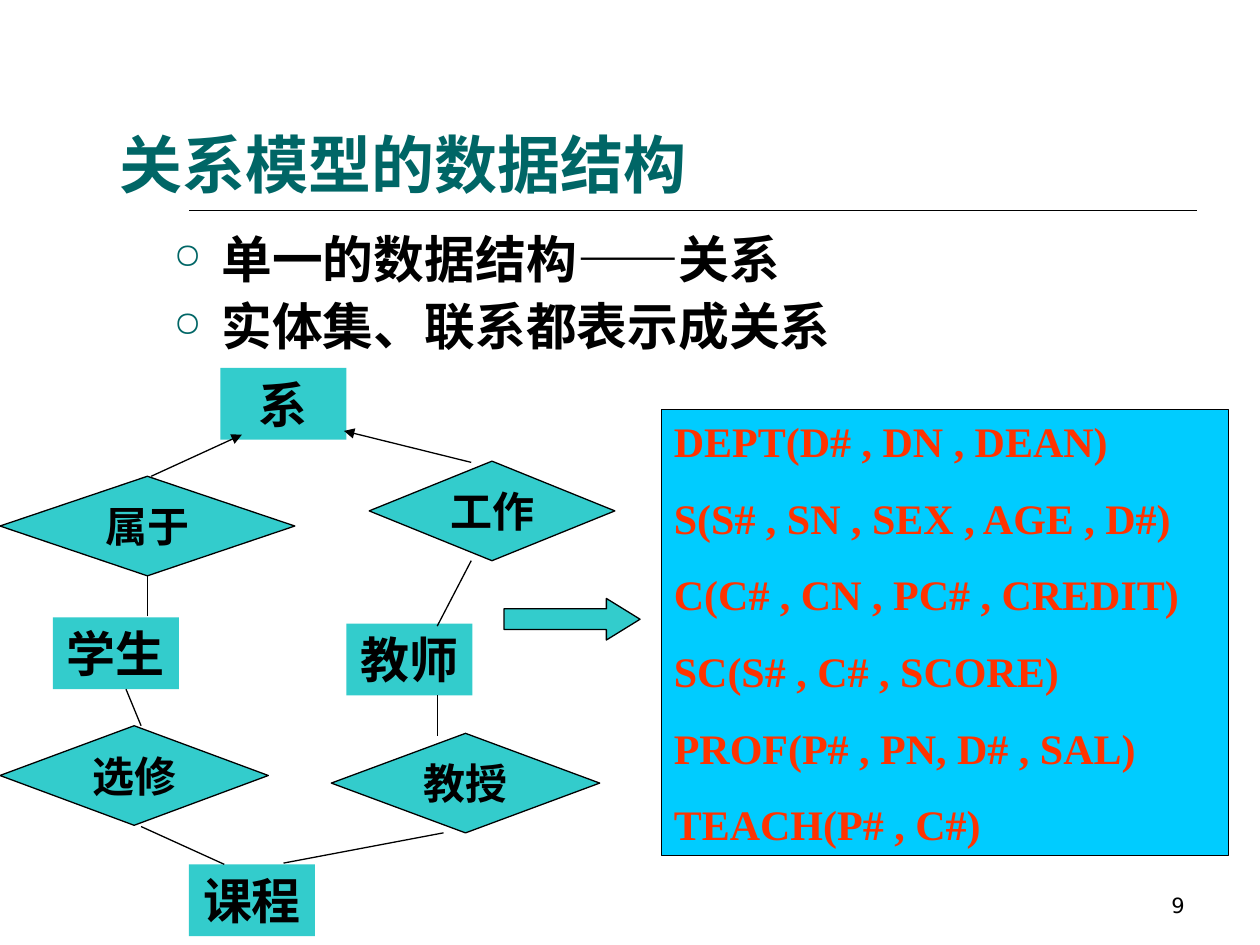
from dataclasses import dataclass

from lxml import etree
from pptx import Presentation
from pptx import util as u
from pptx.dml.color import RGBColor
from pptx.enum import shapes, text
from pptx.oxml import ns


@dataclass(frozen=True)
class Theme:
    """Colours, fonts and type sizes."""
    ink: str = "000000"
    accent: str = "006666"
    node: str = "33CCCC"
    panel: str = "00CCFF"
    schema: str = "FF3300"
    heading_font: str = "Arial"
    body_font: str = "DejaVu Sans"
    diagram_font: str = "Times New Roman"
    title_size: float = 36
    body_size: float = 29
    entity_size: float = 28
    label_size: float = 24
    number_size: float = 12
    outline: float = 0.75


def add_element(parent, tag, **attributes):
    """Append a DrawingML element to a parent."""
    return etree.SubElement(parent, ns.qn(tag), attributes)


def write(paragraph, content, font, size, color, bold=True, align=None):
    """Add a formatted run to a paragraph."""
    run = paragraph.add_run()
    run.text = content
    run.font.name = font
    run.font.size = u.Pt(size)
    run.font.bold = bold
    run.font.color.rgb = RGBColor.from_string(color)
    if align is not None:
        paragraph.alignment = align


class SlideBuilder:
    """Draws styled elements on one slide."""

    def __init__(self, slide, theme):
        self.slide = slide
        self.theme = theme

    def title(self, content, box):
        """Place and format the title placeholder."""
        shape = self.slide.shapes.title
        shape.left, shape.top, shape.width, shape.height = map(u.Inches, box)
        frame = shape.text_frame
        frame.vertical_anchor = text.MSO_ANCHOR.BOTTOM
        frame.auto_size = text.MSO_AUTO_SIZE.NONE
        write(frame.paragraphs[0], content, self.theme.heading_font,
              self.theme.title_size, self.theme.accent, align=text.PP_ALIGN.LEFT)

    def text_frame(self, box):
        """Add a wrapping text box and return its frame."""
        frame = self.slide.shapes.add_textbox(*map(u.Inches, box)).text_frame
        frame.word_wrap = True
        return frame

    def bullets(self, items, box):
        """Add a bulleted list whose items are lists of text and font."""
        frame = self.text_frame(box)
        for index, runs in enumerate(items):
            paragraph = frame.add_paragraph() if index else frame.paragraphs[0]
            paragraph.line_spacing = 0.9
            paragraph.space_before = u.Pt(7.3 if index else 0)
            properties = paragraph._p.get_or_add_pPr()
            properties.set("marL", str(u.Inches(0.38)))
            properties.set("indent", str(-u.Inches(0.38)))
            color = add_element(properties, "a:buClr")
            add_element(color, "a:srgbClr", val=self.theme.accent)
            add_element(properties, "a:buSzPct", val="70000")
            add_element(properties, "a:buChar", char="○")
            for content, font in runs:
                write(paragraph, content, font, self.theme.body_size, self.theme.ink)

    def shape(self, kind, box, fill, outlined=True):
        """Add a flat preset shape."""
        shape = self.slide.shapes.add_shape(kind, *map(u.Inches, box))
        shape.shadow.inherit = False
        shape.fill.solid()
        shape.fill.fore_color.rgb = RGBColor.from_string(fill)
        if outlined:
            shape.line.color.rgb = RGBColor.from_string(self.theme.ink)
            shape.line.width = u.Pt(self.theme.outline)
        else:
            shape.line.fill.background()
        return shape

    def entity(self, name, left, top):
        """Add an entity rectangle."""
        shape = self.shape(shapes.MSO_SHAPE.RECTANGLE, (left, top, 1, 0.57),
                           self.theme.node, outlined=False)
        shape.text_frame.vertical_anchor = text.MSO_ANCHOR.TOP
        write(shape.text_frame.paragraphs[0], name, self.theme.diagram_font,
              self.theme.entity_size, self.theme.ink, align=text.PP_ALIGN.CENTER)

    def relationship(self, name, left, top, width):
        """Add a relationship diamond."""
        shape = self.shape(shapes.MSO_SHAPE.DIAMOND, (left, top, width, 0.79),
                           self.theme.node)
        shape.text_frame.word_wrap = False
        shape.text_frame.vertical_anchor = text.MSO_ANCHOR.MIDDLE
        write(shape.text_frame.paragraphs[0], name, self.theme.diagram_font,
              self.theme.label_size, self.theme.ink, align=text.PP_ALIGN.CENTER)
        return shape

    def schema_panel(self, schemas, box):
        """Add the panel listing relation schemas."""
        frame = self.shape(shapes.MSO_SHAPE.RECTANGLE, box, self.theme.panel).text_frame
        frame.vertical_anchor = text.MSO_ANCHOR.TOP
        for index, schema in enumerate(schemas):
            paragraph = frame.add_paragraph() if index else frame.paragraphs[0]
            paragraph.space_before = u.Pt(15 if index else 0)
            write(paragraph, schema, self.theme.diagram_font, self.theme.label_size,
                  self.theme.schema, align=text.PP_ALIGN.LEFT)

    def arrow(self, box):
        """Add a block arrow pointing right."""
        shape = self.shape(shapes.MSO_SHAPE.RIGHT_ARROW, box, self.theme.node)
        shape.adjustments[0] = 0.5
        shape.adjustments[1] = 0.81

    def line(self, start, end, width=None, arrowhead=False):
        """Add a straight line, with an optional arrowhead at its end."""
        connector = self.slide.shapes.add_connector(
            shapes.MSO_CONNECTOR.STRAIGHT, *map(u.Inches, (*start, *end)))
        connector.line.color.rgb = RGBColor.from_string(self.theme.ink)
        connector.line.width = u.Pt(width or self.theme.outline)
        if arrowhead:
            add_element(connector.line._get_or_add_ln(), "a:tailEnd", type="triangle")
        add_element(connector._element.spPr, "a:effectLst")
        return connector

    def page_number(self, number, box):
        """Add the page number."""
        frame = self.text_frame(box)
        frame.vertical_anchor = text.MSO_ANCHOR.BOTTOM
        write(frame.paragraphs[0], number, self.theme.body_font, self.theme.number_size,
              self.theme.ink, bold=False, align=text.PP_ALIGN.RIGHT)


def main():
    """Build the relational model slide."""
    presentation = Presentation()
    presentation.slide_width, presentation.slide_height = u.Inches(10), u.Inches(7.5)
    theme = Theme()
    builder = SlideBuilder(
        presentation.slides.add_slide(presentation.slide_layouts[5]), theme)

    builder.line((1.5, 1.67), (9.5, 1.67), width=1)
    builder.page_number("9", (7.17, 6.83, 2.33, 0.5))
    builder.title("关系模型的数据结构", (0.85, 0.73, 8.5, 0.92))
    builder.bullets([
        [("单一的数据结构", theme.body_font), ("——", theme.heading_font),
         ("关系", theme.body_font)],
        [("实体集、联系都表示成关系", theme.body_font)],
    ], (1.28, 1.81, 8.6, 1.67))
    builder.arrow((4, 4.75, 1.08, 0.33))
    builder.schema_panel([
        "DEPT(D# , DN , DEAN)", "S(S# , SN , SEX , AGE , D#)",
        "C(C# , CN , PC# , CREDIT)", "SC(S# , C# , SCORE)",
        "PROF(P# , PN, D# , SAL)", "TEACH(P# , C#)",
    ], (5.25, 3.25, 4.5, 3.54))

    for name, left, top in (("系", 1.75, 2.92), ("学生", 0.42, 4.9),
                            ("教师", 2.75, 4.95), ("课程", 1.5, 6.86)):
        builder.entity(name, left, top)
    diamonds = {
        name: builder.relationship(name, left, top, width)
        for name, left, top, width in (
            ("属于", 0, 3.78, 2.34), ("工作", 2.93, 3.66, 1.95),
            ("选修", 0, 5.76, 2.13), ("教授", 2.63, 5.82, 2.13))
    }

    builder.line((1.17, 4.89), (1.17, 4.57)).end_connect(diamonds["属于"], 2)
    for start, end in (((1.12, 5.76), (1, 5.47)), ((1.78, 6.86), (1.12, 6.56)),
                       ((3.47, 5.84), (3.47, 5.52)), ((3.52, 6.61), (2.25, 6.85)),
                       ((3.74, 4.45), (3.47, 4.97))):
        builder.line(start, end)
    for start, end in (((1.2, 3.78), (1.92, 3.45)), ((3.74, 3.67), (2.73, 3.42))):
        builder.line(start, end, arrowhead=True)

    presentation.save("out.pptx")


if __name__ == "__main__":
    main()
